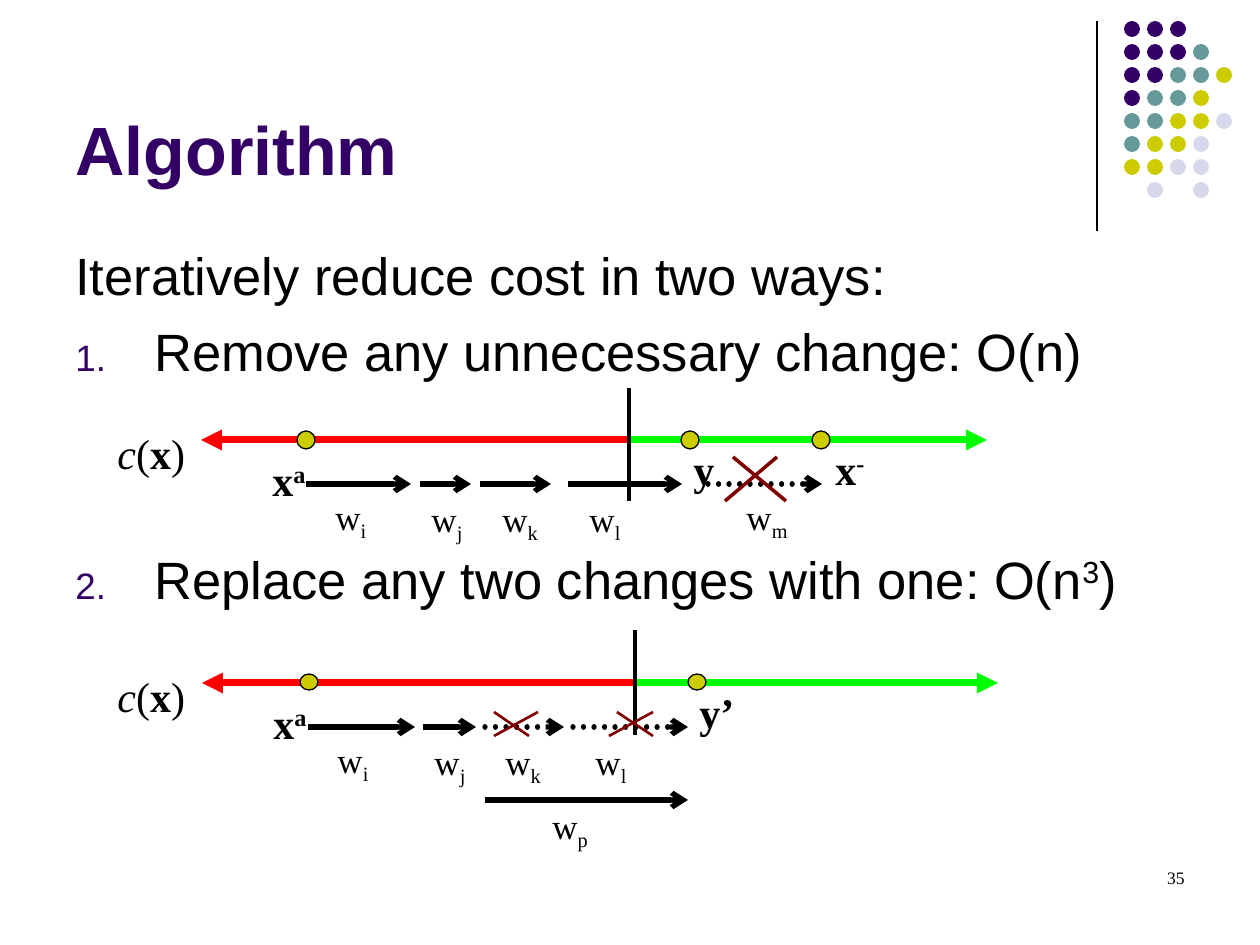
from dataclasses import dataclass

from lxml import etree
from pptx import Presentation
from pptx.dml.color import RGBColor
from pptx.enum.dml import MSO_LINE
from pptx.enum.shapes import MSO_CONNECTOR, MSO_SHAPE
from pptx.enum.text import MSO_ANCHOR, PP_ALIGN
from pptx.oxml.ns import qn
from pptx.util import Pt

STRAIGHT = MSO_CONNECTOR.STRAIGHT
OVAL = MSO_SHAPE.OVAL
DOTTED = MSO_LINE.ROUND_DOT
BOTTOM = MSO_ANCHOR.BOTTOM
LEFT, RIGHT = PP_ALIGN.LEFT, PP_ALIGN.RIGHT
TITLE_ONLY = 5
PX = 914400 / 126


@dataclass(frozen=True)
class Theme:
    """Colours, fonts and type sizes of the slide."""
    purple: str = "330066"
    teal: str = "669999"
    olive: str = "CCCC00"
    lavender: str = "D8D8EC"
    black: str = "000000"
    red: str = "FF0000"
    green: str = "00FF00"
    maroon: str = "800000"
    sans: str = "Arial"
    serif: str = "Times New Roman"
    title_size: int = 39
    body_size: int = 30
    point_size: int = 24
    weight_size: int = 20
    page_size: int = 10


THEME = Theme()
BASELINES = {"sup": "30000", "sub": "-25000"}
DOT_ROWS = ["PPP", "PPPT", "PPTTO", "PTTO", "TTOOL", "TOOL", "OOLL", " L L"]
DOT_COLORS = {"P": THEME.purple, "T": THEME.teal, "O": THEME.olive, "L": THEME.lavender}


def px(value):
    """Turn slide pixels into EMU."""
    return round(value * PX)


def rgb(color):
    """Turn a hex string into a colour."""
    return RGBColor.from_string(color)


def add_runs(paragraph, runs, size, font=THEME.serif, color=THEME.black):
    """Add (text, styles) runs to a paragraph."""
    for text, styles in runs:
        run = paragraph.add_run()
        run.text = text
        run.font.name = font
        run.font.size = Pt(size)
        run.font.color.rgb = rgb(color)
        run.font.bold = "bold" in styles
        run.font.italic = "italic" in styles
        for style in styles:
            if style in BASELINES:
                run.font._element.set("baseline", BASELINES[style])


def add_text(slide, box, runs, size, align=LEFT, wrap=False):
    """Add a text box with one paragraph."""
    frame = slide.shapes.add_textbox(*map(px, box)).text_frame
    frame.word_wrap = wrap
    frame.paragraphs[0].alignment = align
    add_runs(frame.paragraphs[0], runs, size)


def add_line(slide, start, end, color, width, head=None, dash=None):
    """Add a straight line, with an arrowhead at its end if one is named."""
    line = slide.shapes.add_connector(STRAIGHT, *map(px, (*start, *end)))
    line.line.color.rgb = rgb(color)
    line.line.width = Pt(width)
    properties = line._element.spPr
    outline = properties.find(qn("a:ln"))
    if dash:
        line.line.dash_style = dash
        outline.set("cap", "rnd")
    if head:
        etree.SubElement(outline, qn("a:tailEnd"), type=head)
    etree.SubElement(properties, qn("a:effectLst"))


def add_dot(slide, left, top, width, height, color, outlined=False):
    """Add a filled circle."""
    dot = slide.shapes.add_shape(OVAL, *map(px, (left, top, width, height)))
    dot.shadow.inherit = False
    dot.fill.solid()
    dot.fill.fore_color.rgb = rgb(color)
    if outlined:
        dot.line.color.rgb = rgb(THEME.black)
        dot.line.width = Pt(0.75)
    else:
        dot.line.fill.background()


def add_corner(slide):
    """Add the dot pattern and the rule beside it."""
    add_line(slide, (1097, 21), (1097, 231), THEME.black, 0.75)
    for row, letters in enumerate(DOT_ROWS):
        for column, letter in enumerate(letters):
            if letter in DOT_COLORS:
                add_dot(slide, 1124 + 23 * column, 21 + 23 * row, 16, 16, DOT_COLORS[letter])


def add_title(slide, text):
    """Place and fill the title placeholder."""
    title = slide.shapes.title
    title.left, title.top, title.width, title.height = map(px, (63, 16, 1040, 179))
    title.text_frame.vertical_anchor = BOTTOM
    paragraph = title.text_frame.paragraphs[0]
    paragraph.alignment = LEFT
    add_runs(paragraph, [(text, ["bold"])], THEME.title_size, THEME.sans, THEME.purple)


def add_body(slide):
    """Add the lead sentence and the two numbered steps."""
    items = [
        ([("Iteratively reduce cost in two ways:", [])], 0, False),
        ([("Remove any unnecessary change: O(n)", [])], 7.5, True),
        ([("Replace any two changes with one: O(n", []), ("3", ["sup"]), (")", [])], 94, True),
    ]
    frame = slide.shapes.add_textbox(*map(px, (63, 237, 1134, 400))).text_frame
    frame.word_wrap = True
    for index, (runs, space, numbered) in enumerate(items):
        paragraph = frame.add_paragraph() if index else frame.paragraphs[0]
        paragraph.space_before = Pt(space)
        add_runs(paragraph, runs, THEME.body_size, THEME.sans)
        if numbered:
            add_number(paragraph)


def add_number(paragraph):
    """Give a paragraph a hanging automatic number."""
    properties = paragraph._p.get_or_add_pPr()
    properties.set("marL", str(px(79)))
    properties.set("indent", str(-px(79)))
    color = etree.SubElement(properties, qn("a:buClr"))
    etree.SubElement(color, qn("a:srgbClr"), val=THEME.purple)
    etree.SubElement(properties, qn("a:buSzPct"), val="70000")
    etree.SubElement(properties, qn("a:buAutoNum"), type="arabicPeriod")


def add_weight(slide, left, top, index, width):
    """Add a weight label with its subscript."""
    add_text(slide, (left, top, width, 60), [("w", []), (index, ["sub"])], THEME.weight_size)


def add_axis(slide, y, left, cut, right, cut_top, cut_bottom):
    """Add the two-coloured cost axis, its divider and its label."""
    add_line(slide, (cut, y), (right, y), THEME.green, 4, "triangle")
    add_line(slide, (cut, y), (left, y), THEME.red, 4, "triangle")
    add_line(slide, (cut, cut_top), (cut, cut_bottom), THEME.black, 2)
    label = [("c", ["italic"]), ("(", []), ("x", ["bold"]), (")", [])]
    add_text(slide, (105, y - 19, 96, 63), label, THEME.point_size)


def add_points(slide, y, points, height):
    """Add marked points as (dot left, label left, label top offset, label width, runs)."""
    for dot_left, left, offset, width, texts in points:
        add_dot(slide, dot_left, y - 9, 18, height, THEME.olive, True)
        runs = [(text, ["bold", *styles]) for text, *styles in texts]
        add_text(slide, (left, y + offset, width, 63), runs, THEME.point_size)


def add_changes(slide, y, changes):
    """Add change arrows as (start, end, label left, label width, index, removed)."""
    for start, end, left, width, index, removed in changes:
        add_line(slide, (start, y + 44), (end, y + 44), THEME.black, 3, "arrow",
                 DOTTED if removed else None)
        add_weight(slide, left, y + (49 if index in "im" else 51), index, width)


def add_cross(slide, top, bottom, rising, falling, width):
    """Cross out a change with two strokes."""
    for start, end in ((rising, (bottom, top)), (falling, (top, bottom))):
        add_line(slide, (start[0], end[0]), (start[1], end[1]), THEME.maroon, width)


def main():
    """Build the slide and save it."""
    presentation = Presentation()
    presentation.slide_width, presentation.slide_height = px(1260), px(945)
    slide = presentation.slides.add_slide(presentation.slide_layouts[TITLE_ONLY])
    add_corner(slide)
    add_title(slide, "Algorithm")
    add_body(slide)

    add_axis(slide, 440, 201, 629, 987, 388, 501)
    add_points(slide, 440, [(297, 260, 8, 60, [("x",), ("a", "sup")]),
                            (681, 681, -3, 48, [("y",)]),
                            (812, 823, -3, 56, [("x",), ("-", "sup")])], 18)
    add_changes(slide, 440, [(306, 411, 323, 58, "i", False), (420, 471, 419, 58, "j", False),
                             (480, 551, 490, 64, "k", False), (568, 682, 577, 58, "l", False),
                             (708, 822, 734, 70, "m", True)])
    add_cross(slide, 457, 501, (725, 777), (733, 786), 2)

    add_axis(slide, 683, 202, 635, 998, 630, 735)
    add_points(slide, 683, [(300, 261, 8, 60, [("x",), ("a", "sup")]),
                            (688, 687, -3, 64, [("y’",)])], 16)
    add_changes(slide, 683, [(308, 415, 325, 58, "i", False), (423, 476, 422, 58, "j", False),
                             (485, 564, 493, 64, "k", True), (573, 688, 583, 58, "l", True)])
    add_line(slide, (485, 800), (688, 800), THEME.black, 3, "arrow")
    add_weight(slide, 540, 798, "p", 64)
    add_cross(slide, 712, 736, (494, 538), (494, 529), 1.5)
    add_cross(slide, 712, 736, (609, 653), (617, 653), 1.5)

    add_text(slide, (903, 861, 294, 63), [("35", [])], THEME.page_size, RIGHT, True)
    presentation.save("out.pptx")


if __name__ == "__main__":
    main()
